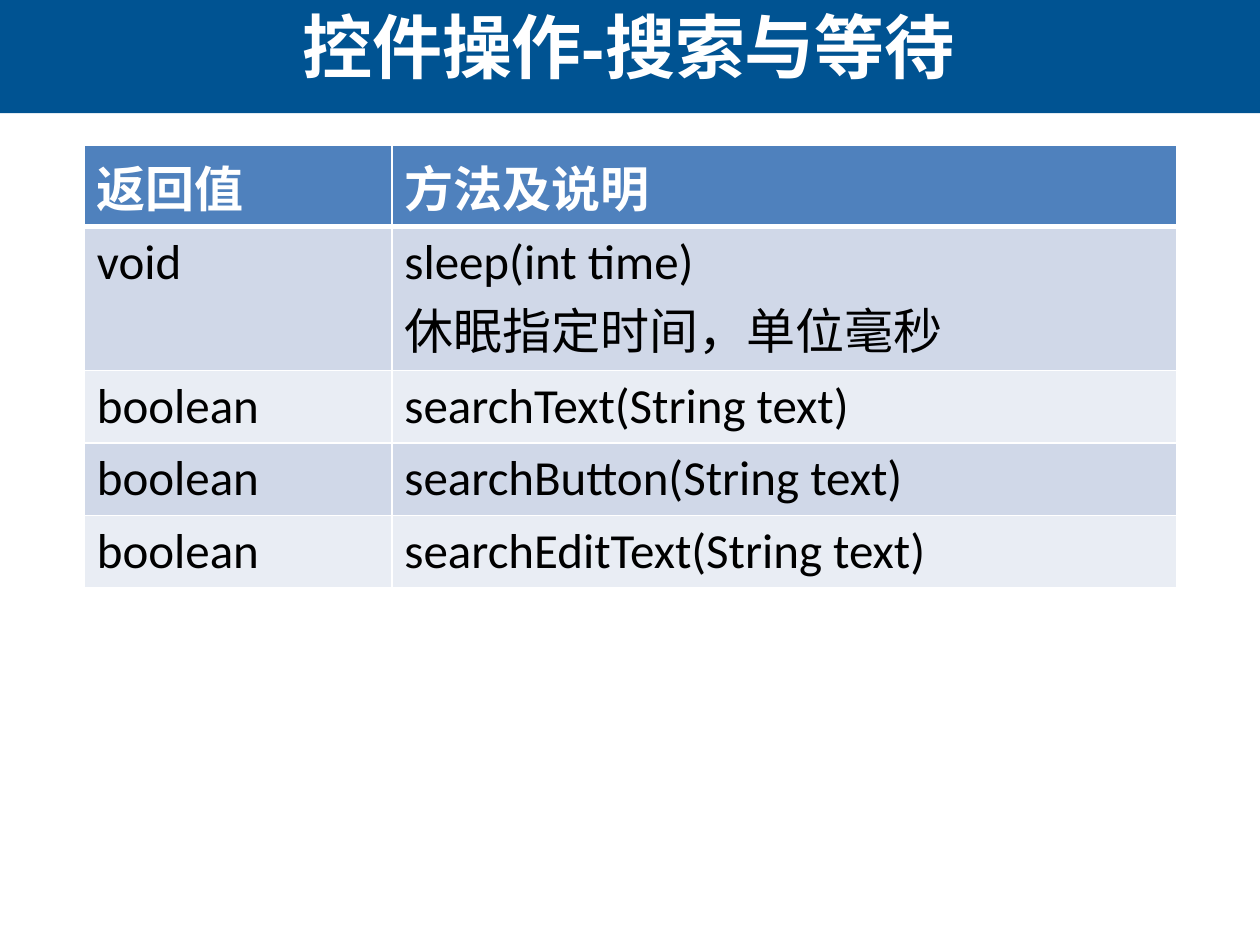
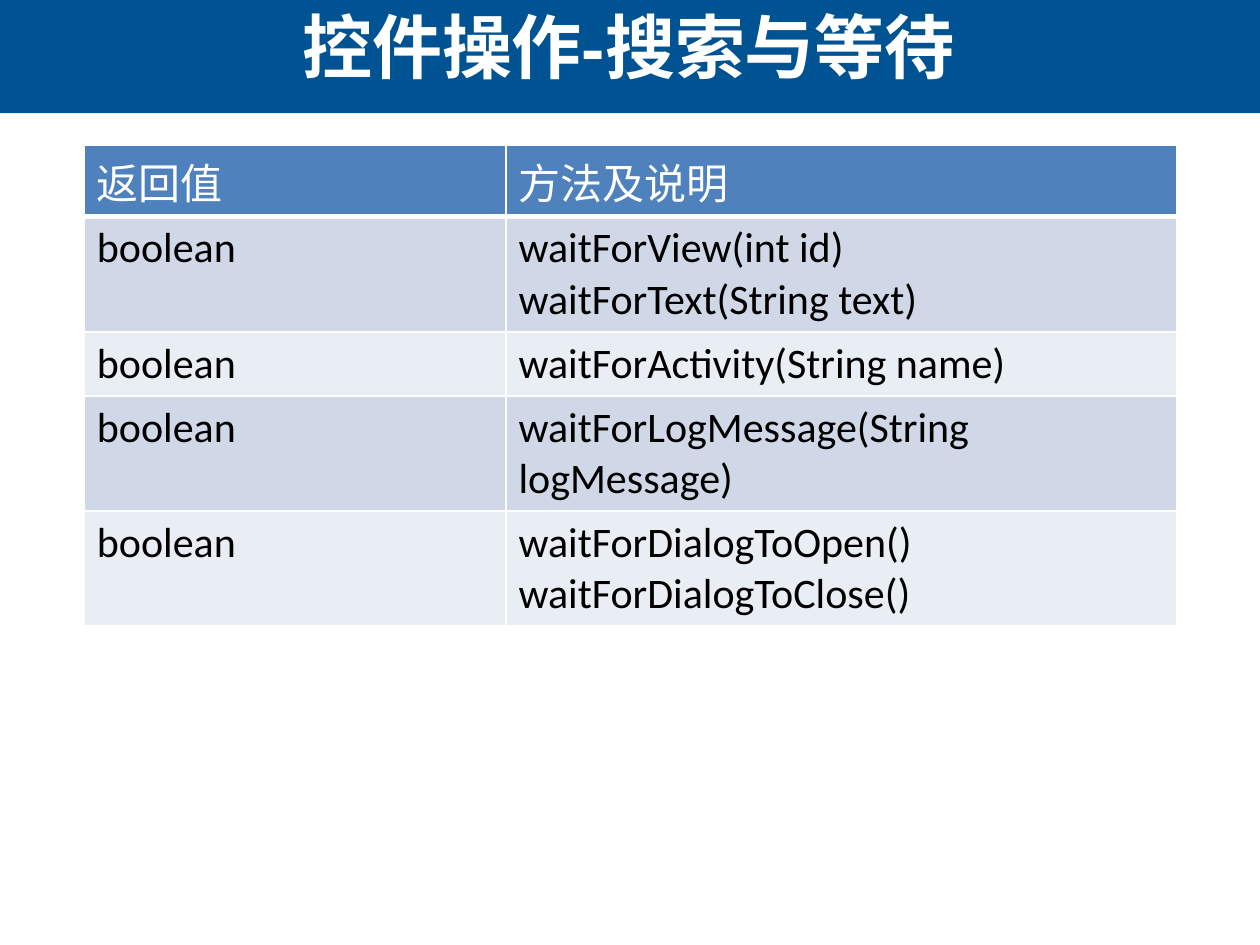
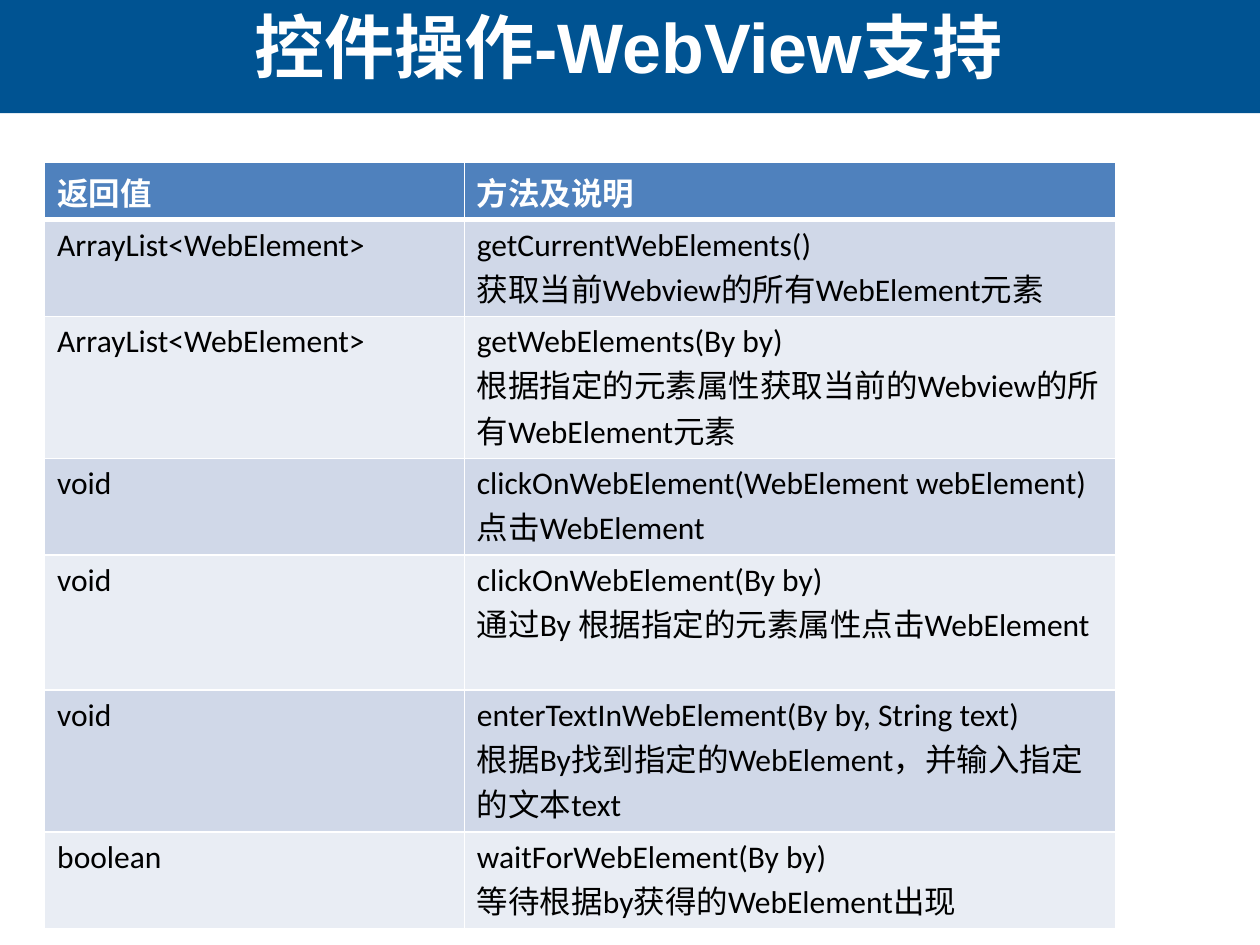
import lxml.etree
import pptx
import pptx.util
import pptx.dml.color
import pptx.enum.shapes
import pptx.enum.text
import pptx.oxml.ns

Cm = pptx.util.Cm
Pt = pptx.util.Pt
RGBColor = pptx.dml.color.RGBColor
qn = pptx.oxml.ns.qn

WHITE = RGBColor(0xFF, 0xFF, 0xFF)
BLACK = RGBColor(0x00, 0x00, 0x00)
BAND_BLUE = RGBColor(0x00, 0x53, 0x92)
HEADER_BLUE = RGBColor(0x4F, 0x81, 0xBD)
ROW_DARK = RGBColor(0xD0, 0xD8, 0xE8)
ROW_LIGHT = RGBColor(0xE9, 0xED, 0xF4)

SLIDE_WIDTH = 25.4
SLIDE_HEIGHT = 19.05
BAND_BOX = (0, 0, SLIDE_WIDTH, 2.28)
TITLE_BOX = (-0.07, -0.44, 25.48, 2.72)
HEADER = ("返回值", "方法及说明")
BORDER_WIDTHS = {"a:lnL": 1, "a:lnR": 1, "a:lnT": 1, "a:lnB": 1}

METHOD_PAGES = [
    {
        "title": "控件操作-搜索与等待",
        "box": (1.7, 2.92, 22.02, 8.38),
        "first_column": 6.2,
        "size": 28,
        "bold_header": True,
        "heights": [1.65, 2.9, 1.46, 1.46, 1.46],
        "methods": [
            ("void", "sleep(int time)\n休眠指定时间，单位毫秒"),
            ("boolean", "searchText(String text)"),
            ("boolean", "searchButton(String text)"),
            ("boolean", "searchEditText(String text)"),
        ],
    },
    {
        "title": "控件操作-搜索与等待",
        "box": (1.7, 2.92, 22.02, 9.4),
        "first_column": 8.5,
        "size": 24,
        "bold_header": False,
        "heights": [1.45, 2.32, 1.29, 2.32, 2.32],
        "methods": [
            ("boolean", "waitForView(int id)\nwaitForText(String text)"),
            ("boolean", "waitForActivity(String name)"),
            ("boolean", "waitForLogMessage(String logMessage)"),
            ("boolean", "waitForDialogToOpen()\nwaitForDialogToClose()"),
        ],
    },
    {
        "title": "控件操作-WebView支持",
        "box": (0.9, 3.28, 21.59, 13.23),
        "first_column": 8.46,
        "size": 18,
        "bold_header": True,
        "heights": [1.15, 1.95, 2.86, 1.95, 2.72, 2.86, 1.95],
        "methods": [
            ("ArrayList<WebElement>",
             "getCurrentWebElements()\n获取当前Webview的所有WebElement元素"),
            ("ArrayList<WebElement>",
             "getWebElements(By by)\n根据指定的元素属性获取当前的Webview的所有WebElement元素"),
            ("void",
             "clickOnWebElement(WebElement webElement)\n点击WebElement"),
            ("void",
             "clickOnWebElement(By by)\n通过By 根据指定的元素属性点击WebElement"),
            ("void",
             "enterTextInWebElement(By by, String text)\n"
             "根据By找到指定的WebElement，并输入指定的文本text"),
            ("boolean",
             "waitForWebElement(By by)\n等待根据by获得的WebElement出现"),
        ],
    },
]


def lengths(box):
    return [Cm(length) for length in box]


def set_font(para, name, size, color, bold):
    para.font.name = name
    para.font.size = Pt(size)
    para.font.color.rgb = color
    para.font.bold = bold


def add_band(page, box):
    band = page.shapes.add_shape(
        pptx.enum.shapes.MSO_SHAPE.RECTANGLE, *lengths(box))
    band.shadow.inherit = False
    band.fill.solid()
    band.fill.fore_color.rgb = BAND_BLUE
    band.line.fill.background()


def add_title(page, box, text):
    frame = page.shapes.add_textbox(*lengths(box)).text_frame
    frame.word_wrap = True
    frame.vertical_anchor = pptx.enum.text.MSO_ANCHOR.MIDDLE
    para = frame.paragraphs[0]
    para.text = text
    para.alignment = pptx.enum.text.PP_ALIGN.CENTER
    set_font(para, "Arial", 40, WHITE, True)


def set_borders(cell, widths):
    properties = cell._tc.get_or_add_tcPr()
    for position, (side, width) in enumerate(widths.items()):
        line = lxml.etree.Element(qn(side), w=str(Pt(width)))
        fill = lxml.etree.SubElement(line, qn("a:solidFill"))
        lxml.etree.SubElement(fill, qn("a:srgbClr"), val=str(WHITE))
        properties.insert(position, line)


def fill_cell(cell, text, fill, color, size, bold):
    cell.fill.solid()
    cell.fill.fore_color.rgb = fill
    cell.text = text
    for para in cell.text_frame.paragraphs:
        set_font(para, "Calibri", size, color, bold)


def add_method_table(page, box, methods, heights, first_column, size,
                     bold_header):
    rows = [HEADER, *methods]
    table = page.shapes.add_table(len(rows), len(HEADER), *lengths(box)).table
    table.columns[0].width = Cm(first_column)
    table.columns[1].width = Cm(box[2] - first_column)
    for index, (texts, height) in enumerate(zip(rows, heights)):
        table.rows[index].height = Cm(height)
        borders = dict(BORDER_WIDTHS)
        if index == 0:
            fill, color, bold = HEADER_BLUE, WHITE, bold_header
            borders["a:lnB"] = 3
        else:
            fill = ROW_DARK if index % 2 else ROW_LIGHT
            color, bold = BLACK, False
            if index == 1:
                borders["a:lnT"] = 3
        for column, text in enumerate(texts):
            cell = table.cell(index, column)
            fill_cell(cell, text, fill, color, size, bold)
            set_borders(cell, borders)


def add_method_page(deck, title, box, **table_options):
    page = deck.slides.add_slide(deck.slide_layouts[6])
    add_band(page, BAND_BOX)
    add_title(page, TITLE_BOX, title)
    add_method_table(page, box, **table_options)


def main():
    deck = pptx.Presentation()
    deck.slide_width = Cm(SLIDE_WIDTH)
    deck.slide_height = Cm(SLIDE_HEIGHT)
    for method_page in METHOD_PAGES:
        add_method_page(deck, **method_page)
    deck.save("out.pptx")


if __name__ == "__main__":
    main()
